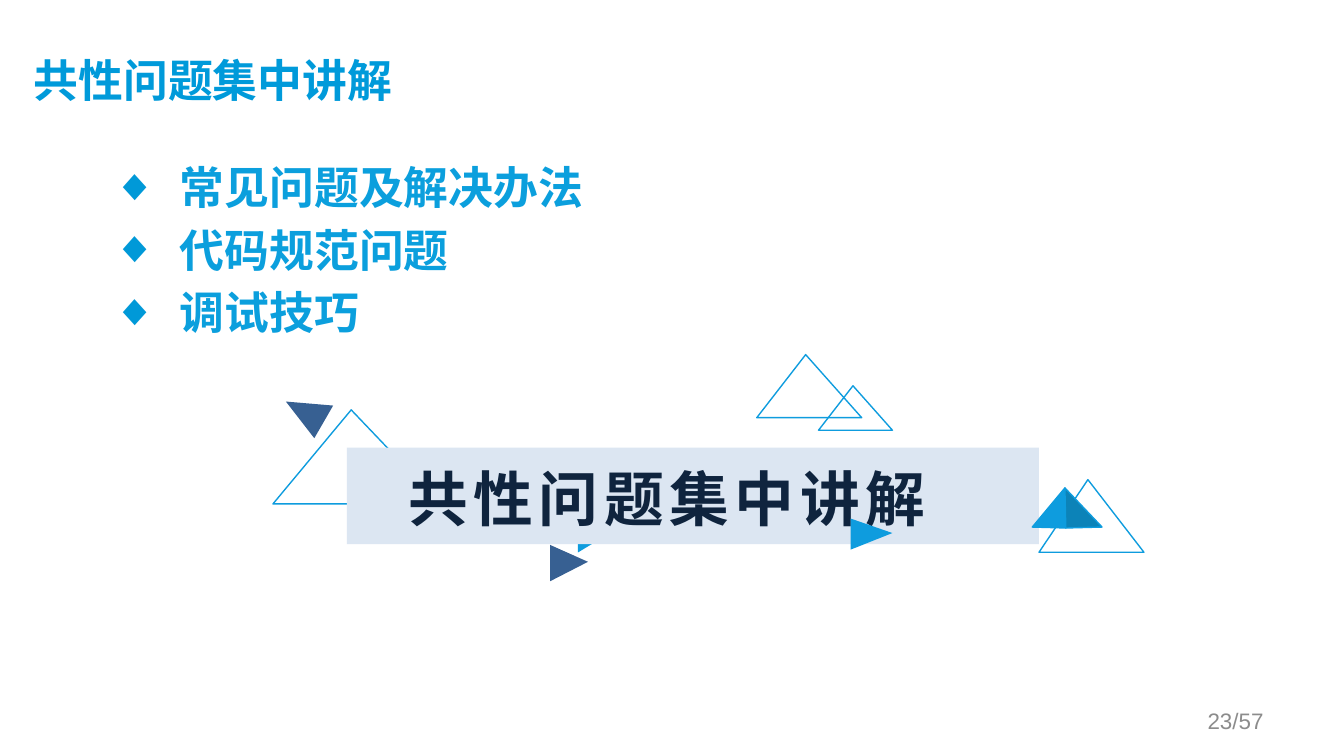
from dataclasses import dataclass

from lxml.etree import SubElement
from pptx import Presentation
from pptx.dml.color import RGBColor
from pptx.enum.shapes import MSO_SHAPE
from pptx.enum.text import MSO_ANCHOR, PP_ALIGN
from pptx.oxml.ns import qn
from pptx.util import Pt


@dataclass(frozen=True)
class Theme:
    heading: str = "009ADA"
    item: str = "0B9FDD"
    bullet: str = "0099D8"
    bright: str = "0E9CDE"
    shade: str = "0C83B8"
    navy: str = "376092"
    band: str = "DCE6F2"
    ink: str = "0F243E"
    grey: str = "8C8C8C"
    cjk: str = "Noto Sans CJK SC"
    latin: str = "Arial"
    text_size: float = 24
    banner_size: float = 32
    number_size: float = 12
    line: float = 0.75


class Deck:
    def __init__(self, theme):
        self.t = theme
        self.prs = Presentation()
        self.prs.slide_width, self.prs.slide_height = Pt(720), Pt(405)
        self.s = self.prs.slides.add_slide(self.prs.slide_layouts[6])

    def paint(self, sp, fill=None, line=None):
        sp.shadow.inherit = False
        if fill:
            sp.fill.solid()
            sp.fill.fore_color.rgb = RGBColor.from_string(fill)
        else:
            sp.fill.background()
        if line:
            sp.line.color.rgb = RGBColor.from_string(line)
            sp.line.width = Pt(self.t.line)
        else:
            sp.line.fill.background()

    def frame(self, sp, insets, anchor=MSO_ANCHOR.MIDDLE):
        tf = sp.text_frame
        tf.word_wrap = True
        tf.vertical_anchor = anchor
        tf.margin_left, tf.margin_top, tf.margin_right, tf.margin_bottom = map(Pt, insets)
        return tf

    def run(self, p, text, size, color, font, bold=True, spacing=0):
        r = p.add_run()
        r.text = text
        r.font.size, r.font.bold, r.font.name = Pt(size), bold, font
        r.font.color.rgb = RGBColor.from_string(color)
        rPr = r._r.get_or_add_rPr()
        SubElement(rPr, qn("a:ea")).set("typeface", font)
        if spacing:
            rPr.set("spc", str(spacing * 100))

    def text(self, box, text, size, color, font, insets, align=PP_ALIGN.LEFT, bold=True):
        sp = self.s.shapes.add_textbox(*map(Pt, box))
        p = self.frame(sp, insets).paragraphs[0]
        p.alignment = align
        self.run(p, text, size, color, font, bold)

    def bullets(self, box, items):
        sp = self.s.shapes.add_textbox(*map(Pt, box))
        tf = self.frame(sp, (7.2, 1, 7.2, 3.6), MSO_ANCHOR.TOP)
        for i, item in enumerate(items):
            p = tf.add_paragraph() if i else tf.paragraphs[0]
            p.line_spacing = Pt(33.5)
            pPr = p._p.get_or_add_pPr()
            pPr.set("marL", str(Pt(36)))
            pPr.set("indent", str(Pt(-36)))
            color = SubElement(pPr, qn("a:buClr"))
            SubElement(color, qn("a:srgbClr")).set("val", self.t.bullet)
            SubElement(pPr, qn("a:buFont")).set("typeface", self.t.latin)
            SubElement(pPr, qn("a:buChar")).set("char", "◆")
            self.run(p, item, self.t.text_size, self.t.item, self.t.cjk)

    def triangle(self, box, fill=None, rotation=0):
        sp = self.s.shapes.add_shape(MSO_SHAPE.ISOSCELES_TRIANGLE, *map(Pt, box))
        sp.adjustments[0] = 0.466
        sp.rotation = rotation
        self.paint(sp, fill, None if fill else self.t.bright)

    def banner(self, box, text):
        sp = self.s.shapes.add_shape(MSO_SHAPE.RECTANGLE, *map(Pt, box))
        self.paint(sp, self.t.band)
        # The wider right inset sets the words left of centre
        p = self.frame(sp, (7.2, 2, 35, 0)).paragraphs[0]
        p.alignment = PP_ALIGN.CENTER
        self.run(p, text, self.t.banner_size, self.t.ink, self.t.cjk, spacing=3)

    def facet(self, points, fill):
        start, *rest = [(Pt(x), Pt(y)) for x, y in points]
        builder = self.s.shapes.build_freeform(*start)
        builder.add_line_segments(rest, close=True)
        self.paint(builder.convert_to_shape(), fill, self.t.bright)


def main():
    t = Theme()
    d = Deck(t)
    topic = "共性问题集中讲解"

    # Title and list
    d.text((18, 16.5, 649, 55.5), topic, t.text_size, t.heading, t.cjk, (0, 0, 7.2, 3.6))
    d.bullets((53.3, 80, 611, 267), ["常见问题及解决办法", "代码规范问题", "调试技巧"])

    # Triangles behind the banner
    d.triangle((146.2, 219.6, 90, 50.4))
    d.triangle((556.6, 257, 56.2, 38.9))
    d.triangle((308.9, 283.7, 13, 11.5), t.bright, 90)
    d.triangle((153.4, 208.8, 20.2, 23), t.navy, 300)

    d.banner((185.8, 239.8, 370.8, 51.8), topic)

    # Triangles in front of the banner
    d.triangle((438.5, 206.7, 39.6, 23.8))
    d.triangle((405.4, 190, 56.2, 33.8))
    d.triangle((295.2, 291.6, 19.4, 20.2), t.navy, 90)
    d.triangle((458.6, 275, 16.6, 22.3), t.bright, 90)

    # Two-tone pyramid: both facets share the middle edge
    for corner_x, fill in ((553, t.bright), (590.4, t.shade)):
        d.facet([(corner_x, 282.4), (570.5, 261.4), (571, 282.4), (571, 282.9)], fill)

    # Page number
    d.text((516.2, 375.1, 167.8, 21.6), "23/57", t.number_size, t.grey, t.latin,
           (7.2, 3.6, 7.2, 3.6), PP_ALIGN.RIGHT, bold=False)

    d.prs.save("out.pptx")


if __name__ == "__main__":
    main()
